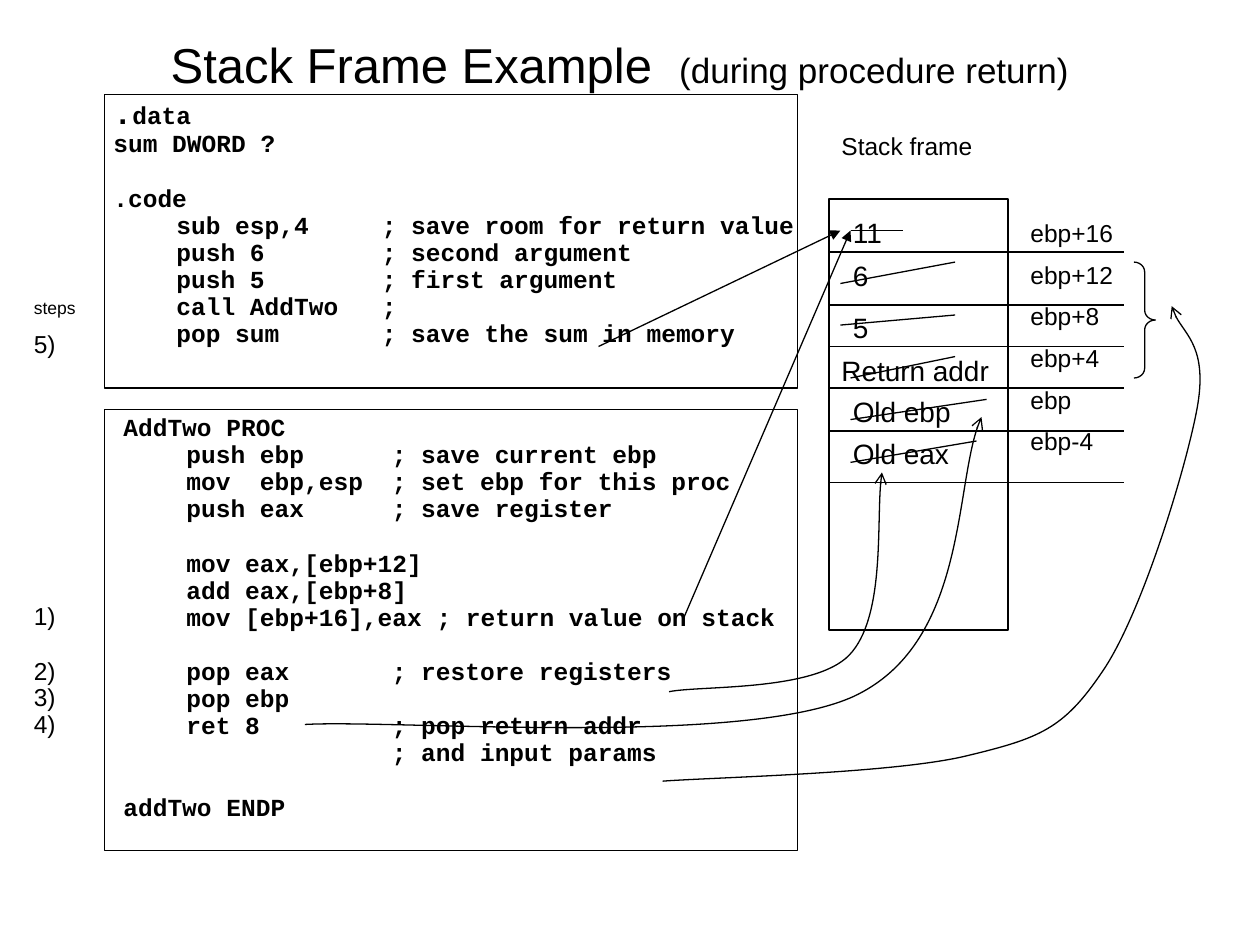
"""Build the slide that shows a stack frame during a procedure return."""
from dataclasses import dataclass
from itertools import chain

from lxml import etree
from pptx import Presentation
from pptx.dml.color import RGBColor
from pptx.enum.shapes import MSO_CONNECTOR, MSO_SHAPE
from pptx.enum.text import MSO_ANCHOR, PP_ALIGN
from pptx.oxml.ns import qn
from pptx.util import Inches, Pt

STRAIGHT = MSO_CONNECTOR.STRAIGHT
RECTANGLE, BRACE = MSO_SHAPE.RECTANGLE, MSO_SHAPE.RIGHT_BRACE
MIDDLE, CENTER = MSO_ANCHOR.MIDDLE, PP_ALIGN.CENTER
SANS, MONO, BLACK = "Arial", "Courier New", "000000"
CODE_TABS = (0.5, 2.13)
BLANK_LINE = 22.9


@dataclass
class Span:
    text: str
    size: float = 14
    font: str = SANS
    bold: bool = False


@dataclass
class Line:
    spans: list[Span]
    spacing: float | None = None
    before: float | None = None
    percent_before: int = 0
    tabs: tuple[float, ...] = ()


@dataclass
class Segment:
    x1: float
    y1: float
    x2: float
    y2: float
    head: str = ""


def color(value: str) -> RGBColor:
    """Turn a hex string into a colour."""
    return RGBColor.from_string(value)


def label(text: str, size: float = 14, **layout) -> Line:
    """Describe a sans-serif line with half a line of space above."""
    return Line([Span(text, size)], percent_before=50, **layout)


def code(text: str, after_blank: bool = False) -> Line:
    """Describe one line of code, optionally set off by a blank line."""
    return Line([Span(text, font=MONO, bold=True)], 0.5,
                BLANK_LINE if after_blank else None, 50, CODE_TABS)


def add_text(page, left: float, top: float, width: float, height: float,
             lines: list[Line], inset: tuple[float, float] = (0.1, 0.15), wrap: bool = True):
    """Add a text box and fill it line by line."""
    box = page.shapes.add_textbox(Inches(left), Inches(top), Inches(width), Inches(height))
    frame = box.text_frame
    frame.word_wrap = wrap
    frame.margin_left = frame.margin_right = Inches(inset[0])
    frame.margin_top = frame.margin_bottom = Inches(inset[1])
    for index, line in enumerate(lines):
        para = frame.add_paragraph() if index else frame.paragraphs[0]
        if line.spacing:
            para.line_spacing = line.spacing
        para.space_before = Pt(line.before or 0)
        properties = para._p.get_or_add_pPr()
        if line.before is None:
            before = properties.find(qn("a:spcBef"))
            before.remove(before[0])
            etree.SubElement(before, qn("a:spcPct"), val=str(line.percent_before * 1000))
        if line.tabs:
            stops = etree.SubElement(properties, qn("a:tabLst"))
            for tab in line.tabs:
                etree.SubElement(stops, qn("a:tab"), pos=str(Inches(tab)), algn="l")
        for item in line.spans:
            span = para.add_run()
            span.text = item.text
            span.font.size = Pt(item.size)
            span.font.name = item.font
            span.font.bold = item.bold
            span.font.color.rgb = color(BLACK)
    return box


def style_line(shape, head: str = "") -> None:
    """Give a shape a thin black line, with an arrowhead if one is named."""
    shape.line.color.rgb = color(BLACK)
    shape.line.width = Pt(0.75)
    if head:
        etree.SubElement(shape.line._get_or_add_ln(), qn("a:tailEnd"), type=head)


def add_outline(page, kind, left: float, top: float, width: float, height: float):
    """Add an unfilled preset shape."""
    shape = page.shapes.add_shape(kind, Inches(left), Inches(top), Inches(width), Inches(height))
    shape.shadow.inherit = False
    shape.fill.background()
    style_line(shape)
    return shape


def add_segment(page, segment: Segment) -> None:
    """Add a straight line."""
    ends = (segment.x1, segment.y1, segment.x2, segment.y2)
    connector = page.shapes.add_connector(STRAIGHT, *map(Inches, ends))
    style_line(connector, segment.head)
    etree.SubElement(connector._element.spPr, qn("a:effectLst"))


def add_curve(page, points: list[tuple[float, float]]) -> None:
    """Add an arrow along cubic curves, each with two controls and an end."""
    start, *rest = [(Inches(x), Inches(y)) for x, y in points]
    builder = page.shapes.build_freeform(*start)
    builder.add_line_segments(rest, close=False)
    curve = builder.convert_to_shape()
    outline = next(curve._element.iter(qn("a:path")))
    steps = outline.findall(qn("a:lnTo"))
    for index in range(0, len(steps), 3):
        bend = etree.SubElement(outline, qn("a:cubicBezTo"))
        for step in steps[index:index + 3]:
            bend.append(step[0])
            outline.remove(step)
    curve.shadow.inherit = False
    curve.fill.background()
    style_line(curve, "arrow")


MAIN_CODE = [
    Line([Span(".", 18, MONO, True), Span("data", 14, MONO, True)], 0.5, None, 50, CODE_TABS),
    code("sum DWORD ?"),
    code(".code", True),
    code("\tsub esp,4\t; save room for return value"),
    code("\tpush 6\t; second argument"),
    code("\tpush 5\t; first argument"),
    code("\tcall AddTwo\t;"),
    code("\tpop sum\t; save the sum in memory"),
]
PROCEDURE_CODE = [
    code("AddTwo PROC"),
    code("\tpush ebp\t; save current ebp"),
    code("\tmov  ebp,esp\t; set ebp for this proc"),
    code("\tpush eax\t; save register"),
    code("\tmov eax,[ebp+12]", True),
    code("\tadd eax,[ebp+8]"),
    code("\tmov [ebp+16],eax ; return value on stack"),
    code("\tpop eax\t; restore registers", True),
    code("\tpop ebp"),
    code("\tret 8\t; pop return addr"),
    code("\t\t; and input params"),
    code("addTwo ENDP", True),
]
STEPS = [
    label("steps", 10, spacing=0.7), label("5)"),
    label("1)", spacing=0.5, before=145.5), label("2)", spacing=0.5, before=BLANK_LINE),
    label("3)", spacing=0.5), label("4)", spacing=0.5),
]
OFFSETS = ["ebp+16", "ebp+12", "ebp+8", "ebp+4", "ebp", "ebp-4"]
STACK_VALUES = [
    ("11", 6.67, 1.58, 0.45), ("6", 6.67, 1.92, 0.32), ("5", 6.67, 2.33, 0.32),
    ("Return addr", 6.58, 2.67, 1.38), ("Old ebp", 6.67, 3, 0.98), ("Old eax", 6.67, 3.33, 0.97),
]
ROW_LINES = [Segment(6.58, y, 8.92, y) for y in (2, 2.42, 2.75, 3.08, 3.42, 3.83)]
STRIKES = [
    Segment(6.75, 1.83, 7.17, 1.83), Segment(6.67, 2.25, 7.58, 2.08),
    Segment(6.67, 2.58, 7.58, 2.5), Segment(6.75, 3, 7.58, 2.83),
    Segment(6.75, 3.33, 7.83, 3.17), Segment(6.75, 3.67, 7.75, 3.5),
]
RESULT_ARROWS = [
    Segment(5.42, 4.92, 6.75, 1.83, "triangle"), Segment(4.75, 2.75, 6.67, 1.83, "triangle"),
]
POP_CURVES = [
    [(5.31, 5.49), (5.55, 5.44), (6.46, 5.49), (6.74, 5.2), (7.02, 4.91), (6.95, 4.05), (7, 3.75)],
    [(2.42, 5.75), (3.14, 5.71), (5.88, 5.93), (6.77, 5.53), (7.66, 5.12), (7.57, 3.78),
     (7.79, 3.31)],
    [(5.26, 6.2), (5.66, 6.17), (7.09, 6.14), (7.67, 6), (8.25, 5.86), (8.44, 5.79), (8.75, 5.33),
     (9.06, 4.88), (9.41, 3.73), (9.5, 3.25), (9.59, 2.77), (9.34, 2.6), (9.3, 2.43)],
]


def main() -> None:
    """Draw the slide and save it."""
    deck = Presentation()
    deck.slide_width, deck.slide_height = Inches(10), Inches(7.5)
    page = deck.slides.add_slide(deck.slide_layouts[6])
    heading = Line([Span("Stack Frame Example  ", 28), Span("(during procedure return)", 20)])
    title = add_text(page, 0.67, 0.17, 8.5, 0.67, [heading], (0.1, 0.05))
    title.text_frame.vertical_anchor = MIDDLE
    title.text_frame.paragraphs[0].alignment = CENTER
    add_text(page, 0.75, 0.67, 7.75, 2.42, MAIN_CODE, (0.15, 0.2))
    add_text(page, 0.83, 3.17, 5.5, 3.5, PROCEDURE_CODE, (0.15, 0.2))
    for frame in ((0.83, 0.75, 5.5, 2.33), (0.83, 3.25, 5.5, 3.5), (6.58, 1.58, 1.42, 3.42)):
        add_outline(page, RECTANGLE, *frame)
    add_text(page, 8.08, 1.58, 1, 2.28, [label(offset) for offset in OFFSETS])
    add_text(page, 6.58, 0.92, 1.67, 0.53, [label("Stack frame")])
    add_text(page, 0.17, 2.25, 0.58, 3.95, STEPS)
    for segment in chain(ROW_LINES, STRIKES, RESULT_ARROWS):
        add_segment(page, segment)
    for points in POP_CURVES:
        add_curve(page, points)
    add_outline(page, BRACE, 9, 2.08, 0.17, 0.92).adjustments[0] = 0.458
    for text, left, top, width in STACK_VALUES:
        add_text(page, left, top, width, 0.57, [Line([Span(text, 16)])], wrap=False)
    deck.save("out.pptx")


if __name__ == "__main__":
    main()
